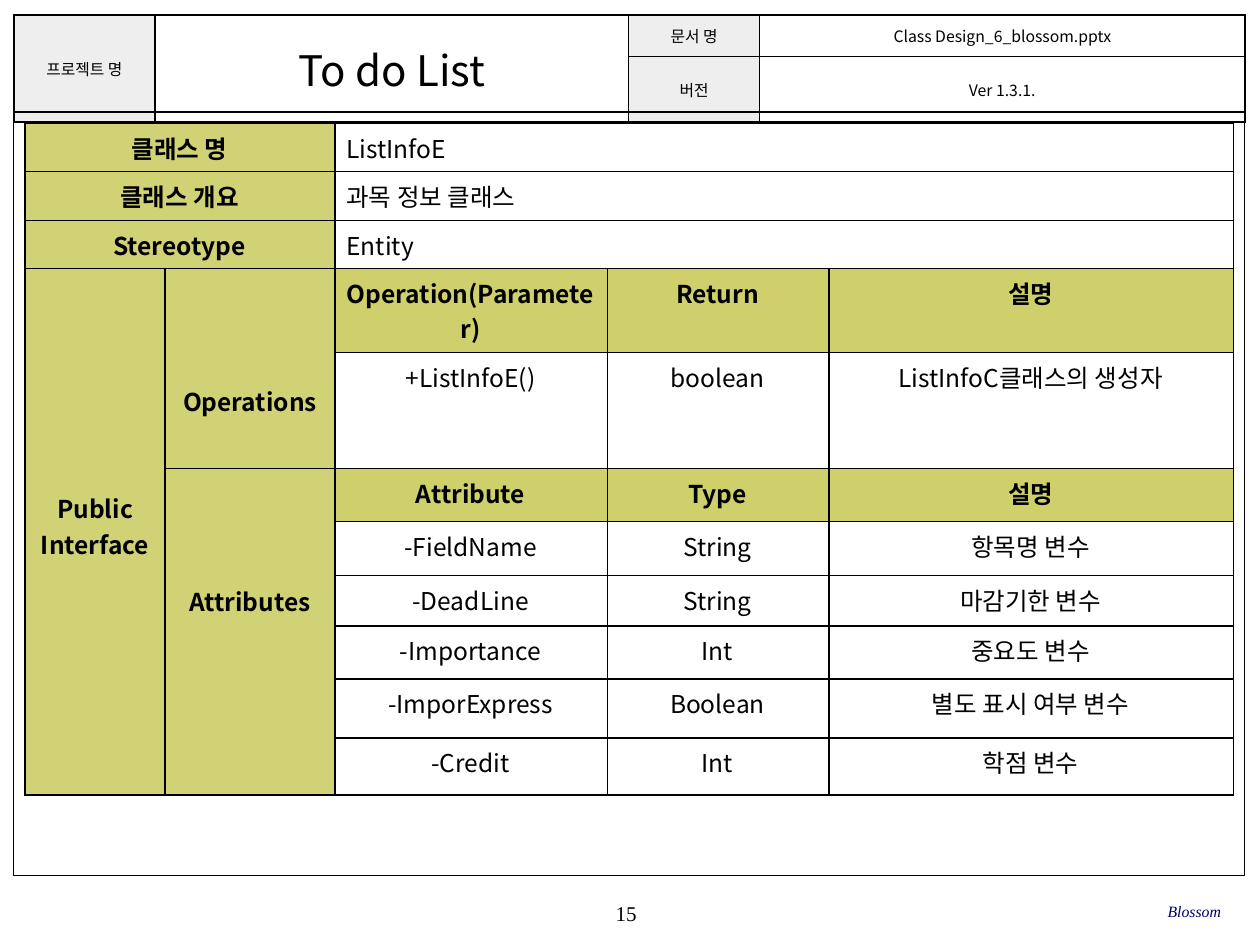
from dataclasses import dataclass

from lxml import etree
from pptx import Presentation
from pptx.dml.color import RGBColor
from pptx.enum.shapes import MSO_SHAPE
from pptx.enum.text import MSO_ANCHOR, PP_ALIGN
from pptx.oxml.ns import qn
from pptx.util import Inches, Pt

RECTANGLE = MSO_SHAPE.RECTANGLE
TOP, MIDDLE = MSO_ANCHOR.TOP, MSO_ANCHOR.MIDDLE
LEFT, CENTER, RIGHT = PP_ALIGN.LEFT, PP_ALIGN.CENTER, PP_ALIGN.RIGHT


@dataclass(frozen=True)
class Theme:
    black: str = "000000"
    white: str = "FFFFFF"
    gray: str = "EEEEEE"
    olive: str = "D1D175"
    dark_olive: str = "CFCF6B"
    navy: str = "000066"
    sans: str = "Noto Sans CJK KR"
    serif: str = "Times New Roman"
    small: int = 9
    number: int = 12
    body: int = 14
    title: int = 24


THEME = Theme()
HEADER_MARGINS = (0.04, 0.02, 0.04, 0.02)
BODY_MARGINS = (0.09, 0.05, 0.1, 0.05)


def set_margins(target, margins):
    for side, value in zip(("left", "top", "right", "bottom"), margins):
        setattr(target, f"margin_{side}", Inches(value))


def write_text(frame, text, align=CENTER, color=THEME.black, **formats):
    formats = {"name": THEME.sans, "size": THEME.body, **formats}
    formats["size"] = Pt(formats["size"])
    for index, line in enumerate(text.split("\n")):
        para = frame.add_paragraph() if index else frame.paragraphs[0]
        para.alignment = align
        span = para.add_run()
        span.text = line
        for key, value in formats.items():
            setattr(span.font, key, value)
        span.font.color.rgb = RGBColor.from_string(color)
        east_asian = etree.SubElement(span.font._element, qn("a:ea"))
        east_asian.set("typeface", formats["name"])


def add_label(page, bounds, text, **formats):
    box = page.shapes.add_textbox(*map(Inches, bounds))
    frame = box.text_frame
    frame.word_wrap = True
    frame.vertical_anchor = MIDDLE
    set_margins(frame, (0, 0, 0, 0))
    write_text(frame, text, **formats)


def add_frame(page, bounds):
    frame = page.shapes.add_shape(RECTANGLE, *map(Inches, bounds))
    frame.shadow.inherit = False
    frame.fill.background()
    frame.line.color.rgb = RGBColor.from_string(THEME.black)
    frame.line.width = Pt(0.75)


def set_borders(cell):
    properties = cell._tc.get_or_add_tcPr()
    for index, side in enumerate(("lnL", "lnR", "lnT", "lnB")):
        line = etree.Element(qn(f"a:{side}"), w=str(Pt(1)))
        fill = etree.SubElement(line, qn("a:solidFill"))
        etree.SubElement(fill, qn("a:srgbClr"), val=THEME.black)
        properties.insert(index, line)


def add_grid(page, left, top, widths, heights):
    bounds = (left, top, sum(widths), sum(heights))
    table = page.shapes.add_table(len(heights), len(widths), *map(Inches, bounds)).table
    table.first_row = table.horz_banding = False
    for column, width in zip(table.columns, widths):
        column.width = Inches(width)
    for row, height in zip(table.rows, heights):
        row.height = Inches(height)
    for cell in table.iter_cells():
        cell.fill.background()
        set_borders(cell)
        set_margins(cell, (0, 0, 0, 0))
    return table


def fill_cell(table, row, column, text, color, span=(1, 1),
              margins=BODY_MARGINS, anchor=TOP, **formats):
    cell = table.cell(row, column)
    if span != (1, 1):
        cell.merge(table.cell(row + span[0] - 1, column + span[1] - 1))
    cell.fill.solid()
    cell.fill.fore_color.rgb = RGBColor.from_string(color)
    cell.vertical_anchor = anchor
    set_margins(cell, margins)
    write_text(cell.text_frame, text, **formats)


def add_document_header(page):
    table = add_grid(page, 0.11, 0.12, [1.12, 3.76, 1.04, 3.85], [0.33, 0.52])
    for row, column, text, color, span, size in (
        (0, 0, "프로젝트 명", THEME.gray, (2, 1), THEME.small),
        (0, 1, "To do List", THEME.white, (2, 1), THEME.title),
        (0, 2, "문서 명", THEME.gray, (1, 1), THEME.small),
        (0, 3, "Class Design_6_blossom.pptx", THEME.white, (1, 1), THEME.small),
        (1, 2, "버전", THEME.gray, (1, 1), THEME.small),
        (1, 3, "Ver 1.3.1.", THEME.white, (1, 1), THEME.small),
    ):
        fill_cell(table, row, column, text, color, span, HEADER_MARGINS, MIDDLE, size=size)


def add_class_table(page):
    heights = [0.38, 0.39, 0.38, 0.67, 0.92, 0.42, 0.43, 0.4, 0.42, 0.47, 0.45]
    table = add_grid(page, 0.2, 0.98, [1.11, 1.35, 2.16, 1.76, 3.21], heights)

    summary = (("클래스 명", "ListInfoE"), ("클래스 개요", "과목 정보 클래스"),
               ("Stereotype", "Entity"))
    for row, (label, value) in enumerate(summary):
        fill_cell(table, row, 0, label, THEME.olive, (1, 2), bold=True)
        fill_cell(table, row, 2, value, THEME.white, (1, 3), align=LEFT)

    for row, column, text, rows, offset in (
        (3, 0, "Public\nInterface", 8, 1.76),
        (3, 1, "Operations", 2, 0.91),
        (5, 1, "Attributes", 6, 0.91),
    ):
        fill_cell(table, row, column, text, THEME.olive, (rows, 1),
                  (0.1, offset, 0.1, 0.05), bold=True)

    members = (
        ("Operation(Parameter)", "Return", "설명"),
        ("+ListInfoE()", "boolean", "ListInfoC클래스의 생성자"),
        ("Attribute", "Type", "설명"),
        ("-FieldName", "String", "항목명 변수"),
        ("-DeadLine", "String", "마감기한 변수"),
        ("-Importance", "Int", "중요도 변수"),
        ("-ImporExpress", "Boolean", "별도 표시 여부 변수"),
        ("-Credit", "Int", "학점 변수"),
    )
    for row, member in enumerate(members, start=3):
        heading = row in (3, 5)
        color = THEME.dark_olive if heading else THEME.white
        for column, text in enumerate(member, start=2):
            fill_cell(table, row, column, text, color, bold=heading)


def main():
    deck = Presentation()
    deck.slide_width, deck.slide_height = Inches(10), Inches(7.5)
    page = deck.slides.add_slide(deck.slide_layouts[6])
    add_label(page, (3.93, 7.08, 2.08, 0.33), "15", name=THEME.serif, size=THEME.number)
    add_document_header(page)
    add_frame(page, (0.11, 0.89, 9.77, 6.06))
    add_label(page, (6.63, 7.07, 3.06, 0.33), "Blossom", align=RIGHT, color=THEME.navy,
              name=THEME.serif, size=THEME.small, italic=True)
    add_class_table(page)
    deck.save("out.pptx")


if __name__ == "__main__":
    main()
